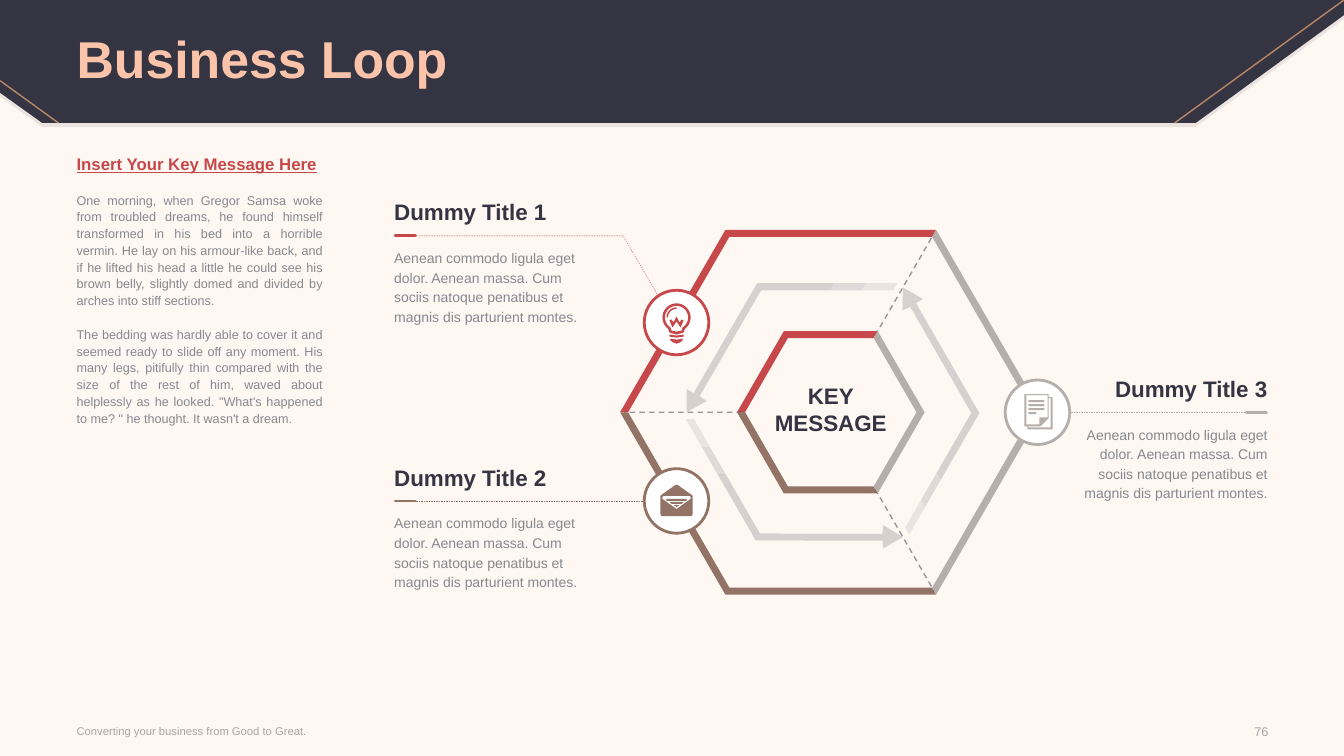
from dataclasses import dataclass
from math import cos, radians, sin

from pptx import Presentation
from pptx.dml.color import RGBColor
from pptx.enum.dml import MSO_LINE
from pptx.enum.shapes import MSO_CONNECTOR, MSO_SHAPE
from pptx.enum.text import MSO_ANCHOR, PP_ALIGN
from pptx.oxml.ns import qn
from pptx.util import Inches, Pt

DASH = MSO_LINE.DASH
STRAIGHT = MSO_CONNECTOR.STRAIGHT
OVAL = MSO_SHAPE.OVAL
TOP, MIDDLE = MSO_ANCHOR.TOP, MSO_ANCHOR.MIDDLE
LEFT, RIGHT, CENTER, JUSTIFY = PP_ALIGN.LEFT, PP_ALIGN.RIGHT, PP_ALIGN.CENTER, PP_ALIGN.JUSTIFY

Point = tuple[float, float]
Contour = list[Point]


@dataclass(frozen=True)
class Theme:
    font: str = "Arial"
    background: str = "FFF7F2"
    dark: str = "343442"
    peach: str = "FBC4AA"
    bronze: str = "B98763"
    red: str = "C7484A"
    brown: str = "927365"
    silver: str = "B6AEAB"
    body: str = "85898F"
    footer: str = "A6A6A6"
    white: str = "FFFFFF"
    title_size: float = 37
    heading_size: float = 16
    key_size: float = 12
    label_size: float = 10
    small_size: float = 9
    footer_size: float = 8


THEME = Theme()
HUB: Point = (8.24, 4.09)


@dataclass(frozen=True)
class Text:
    content: str
    size: float
    color: str
    bold: bool = False
    underline: bool = False
    space_before: float = 0


@dataclass(frozen=True)
class Stage:
    title: str
    color: str
    start_angle: float
    turn: float
    badge: Point
    text_left: float
    rule_y: float
    align: PP_ALIGN
    accent: tuple[float, float]
    leader: Contour
    icon: list[Contour]


def polar(angle: float, radius: float, center: Point = HUB) -> Point:
    return center[0] + radius * cos(radians(angle)), center[1] - radius * sin(radians(angle))


def rotate(point: Point, angle: float) -> Point:
    x, y = point
    c, s = cos(radians(angle)), sin(radians(angle))
    return HUB[0] + x * c + y * s, HUB[1] - x * s + y * c


def arc(first: int, last: int, radius: float, step: int = 10) -> Contour:
    return [polar(angle, radius, (0, -0.05)) for angle in range(first, last + step, step)]


def box(left: float, top: float, right: float, bottom: float) -> Contour:
    return [(left, top), (right, top), (right, bottom), (left, bottom)]


def set_alpha(shape, percent: int) -> None:
    for color in shape.element.spPr.iter(qn("a:srgbClr")):
        color.makeelement
        alpha = color.makeelement(qn("a:alpha"), {"val": str(percent * 1000)})
        color.append(alpha)


def add_outline(slide, contours: list[Contour], color: str, alpha: int = 100, width: float = 0):
    """Draw filled contours, or an open dashed path when a width is given."""
    start, *rest = contours[0]
    builder = slide.shapes.build_freeform(Inches(start[0]), Inches(start[1]))
    builder.add_line_segments([(Inches(x), Inches(y)) for x, y in rest], close=not width)
    for first, *others in contours[1:]:
        builder.move_to(Inches(first[0]), Inches(first[1]))
        builder.add_line_segments([(Inches(x), Inches(y)) for x, y in others])
    shape = builder.convert_to_shape()
    shape.shadow.inherit = False
    if width:
        shape.fill.background()
        shape.line.color.rgb = RGBColor.from_string(color)
        shape.line.width = Pt(width)
        shape.line.dash_style = DASH
    else:
        shape.fill.solid()
        shape.fill.fore_color.rgb = RGBColor.from_string(color)
        shape.line.fill.background()
    if alpha < 100:
        set_alpha(shape, alpha)


def add_line(slide, start: Point, end: Point, color: str, width: float,
             dashed: bool = False, alpha: int = 100, rounded: bool = False) -> None:
    line = slide.shapes.add_connector(STRAIGHT, *[Inches(value) for value in (*start, *end)])
    line.line.color.rgb = RGBColor.from_string(color)
    line.line.width = Pt(width)
    if dashed:
        line.line.dash_style = DASH
    if rounded:
        line.line._get_or_add_ln().set("cap", "rnd")
    if alpha < 100:
        set_alpha(line, alpha)
    properties = line.element.spPr
    properties.append(properties.makeelement(qn("a:effectLst"), {}))


def add_text(slide, area: tuple[float, float, float, float], texts: list[Text],
             align: PP_ALIGN = LEFT, anchor: MSO_ANCHOR = TOP, spacing=None) -> None:
    frame = slide.shapes.add_textbox(*[Inches(value) for value in area]).text_frame
    frame.word_wrap = True
    frame.vertical_anchor = anchor
    frame.margin_left = frame.margin_right = frame.margin_top = frame.margin_bottom = 0
    for index, text in enumerate(texts):
        paragraph = frame.add_paragraph() if index else frame.paragraphs[0]
        paragraph.alignment = align
        paragraph.line_spacing = spacing
        if text.space_before:
            paragraph.space_before = Pt(text.space_before)
        run = paragraph.add_run()
        run.text = text.content
        run.font.name = THEME.font
        run.font.size = Pt(text.size)
        run.font.bold = text.bold
        run.font.underline = text.underline
        run.font.color.rgb = RGBColor.from_string(text.color)


BULB = [
    [(-0.08, 0.07), *reversed(arc(-50, 230, 0.14)), (0.08, 0.07), (0.07, 0.1), (0, 0.12), (-0.07, 0.1)],
    [(-0.06, 0.05), *reversed(arc(-50, 230, 0.115)), (0.06, 0.05), (0.05, 0.08), (0, 0.09), (-0.05, 0.08)],
    [*arc(90, 180, 0.1), *reversed(arc(90, 180, 0.085))],
    [(-0.07, 0.12), (0, 0.13), (0.07, 0.12), (0.07, 0.14), (0, 0.15), (-0.07, 0.14)],
    [(-0.06, 0.16), (0, 0.17), (0.06, 0.16), (0.06, 0.18), (0.03, 0.2), (0, 0.21), (-0.03, 0.2), (-0.06, 0.18)],
    [(0.03, 0), (0, -0.06), (-0.03, 0), (-0.05, -0.03), (-0.07, -0.02), (-0.04, 0.05),
     (0, -0.01), (0.04, 0.05), (0.07, -0.02), (0.05, -0.03)],
]
ENVELOPE = [
    [(0.15, -0.06), (0.01, -0.16), (-0.01, -0.16), (-0.15, -0.06), (-0.16, -0.05), (-0.16, 0.13),
     (-0.15, 0.15), (0.15, 0.15), (0.16, 0.13), (0.16, -0.05)],
    [(0.14, -0.02), (0, 0.08), (-0.14, -0.02), (-0.14, -0.04), (-0.13, -0.05), (0.13, -0.05), (0.14, -0.04)],
    box(-0.1, -0.02, 0.1, 0),
    [(-0.07, 0.01), (0.07, 0.01), (0.05, 0.03), (-0.05, 0.03)],
    [(-0.03, 0.04), (0.03, 0.04), (0, 0.06)],
]
DOCUMENT = [
    [(0.11, -0.15), (0.11, -0.18), (-0.13, -0.18), (-0.13, 0.14), (-0.1, 0.14), (-0.1, 0.17), (0.15, 0.17), (0.15, -0.15)],
    [(-0.11, 0.12), (-0.11, -0.17), (0.1, -0.17), (0.1, 0.05), (0.02, 0.05), (0.02, 0.12)],
    [(0.13, 0.15), (-0.09, 0.15), (-0.09, 0.14), (0.03, 0.14), (0.11, 0.06), (0.11, -0.14), (0.13, -0.14)],
    *[box(-0.09, top, 0.07, top + 0.02) for top in (-0.12, -0.08, -0.04)],
    box(-0.09, 0, -0.01, 0.02),
]
STAGES = [
    Stage("Dummy Title 1", THEME.red, 60, 0, (6.71, 3.2), 3.91, 2.34, LEFT, (3.92, 4.12),
          [(4.08, 2.34), (6.18, 2.34), (6.68, 3.19)], BULB),
    Stage("Dummy Title 2", THEME.brown, 180, 120, (6.71, 4.97), 3.91, 4.97, LEFT, (3.92, 4.12),
          [(4.08, 4.97), (6.71, 4.97)], ENVELOPE),
    Stage("Dummy Title 3", THEME.silver, 300, 240, (10.29, 4.09), 10.53, 4.09, RIGHT, (12.36, 12.56),
          [(12.4, 4.09), (10.31, 4.09)], DOCUMENT),
]
ARROW_PARTS = [
    ([(-0.01, -1.21), (-0.69, -1.21), (-1.3, -0.16), (-1.23, -0.11), (-1.43, 0), (-1.43, -0.23),
      (-1.36, -0.19), (-0.73, -1.28), (0.03, -1.28)], 20),
    ([(0.34, -1.28), (0.3, -1.21), (-0.01, -1.21), (0.03, -1.28)], 15),
    ([(0.66, -1.28), (0.62, -1.21), (0.3, -1.21), (0.34, -1.28)], 10),
]
LABEL = ("Aenean commodo ligula eget dolor. Aenean massa. Cum sociis natoque penatibus et "
         "magnis dis parturient montes.")
STORY = [
    "One morning, when Gregor Samsa woke from troubled dreams, he found himself transformed in his bed into "
    "a horrible vermin. He lay on his armour-like back, and if he lifted his head a little he could see his "
    "brown belly, slightly domed and divided by arches into stiff sections.",
    "The bedding was hardly able to cover it and seemed ready to slide off any moment. His many legs, pitifully "
    "thin compared with the size of the rest of him, waved about helplessly as he looked. \"What's happened to "
    "me? \" he thought. It wasn't a dream.",
]


def add_header(slide) -> None:
    for drop, alpha in ((0.04, 10), (0, 100)):
        banner = [(0, 0), (13.33, 0), (13.33, 0.15), (11.86, 1.22), (0.42, 1.22), (0, 0.92)]
        add_outline(slide, [[(x, y + drop) for x, y in banner]], THEME.dark, alpha)
    add_line(slide, (13.33, 0), (11.65, 1.22), THEME.bronze, 1)
    add_line(slide, (0.58, 1.22), (0, 0.8), THEME.bronze, 1)
    add_text(slide, (0.76, 0.03, 11.81, 1.17),
             [Text("Business Loop", THEME.title_size, THEME.peach, bold=True)], anchor=MIDDLE, spacing=0.9)


def add_loop(slide, stage: Stage) -> None:
    angles = [stage.start_angle + step for step in (0, 60, 120)]
    add_line(slide, polar(angles[0], 0.88), polar(angles[0], 2.05), THEME.dark, 1, dashed=True, alpha=50)
    for radius in (2.09, 0.93):
        band = [polar(angle, radius) for angle in angles]
        band += [polar(angle, radius - 0.08) for angle in reversed(angles)]
        add_outline(slide, [band], stage.color)
    for part, alpha in ARROW_PARTS:
        add_outline(slide, [[rotate(point, stage.turn) for point in part]], THEME.dark, alpha)


def add_callout(slide, stage: Stage) -> None:
    if len(stage.leader) > 2:
        add_outline(slide, [stage.leader], stage.color, width=0.25)
    else:
        add_line(slide, *stage.leader, stage.color, 0.25, dashed=True)
    first, last = stage.accent
    add_line(slide, (first, stage.rule_y), (last, stage.rule_y), stage.color, 2, rounded=True)
    add_text(slide, (stage.text_left, stage.rule_y - 0.37, 2.04, 0.27),
             [Text(stage.title, THEME.heading_size, THEME.dark, bold=True)], stage.align)
    add_text(slide, (stage.text_left, stage.rule_y + 0.11, 2.04, 0.79),
             [Text(LABEL, THEME.label_size, THEME.body)], stage.align, spacing=Pt(14))
    x, y = stage.badge
    badge = slide.shapes.add_shape(OVAL, Inches(x - 0.32), Inches(y - 0.32), Inches(0.64), Inches(0.64))
    badge.shadow.inherit = False
    badge.fill.solid()
    badge.fill.fore_color.rgb = RGBColor.from_string(THEME.white)
    badge.line.color.rgb = RGBColor.from_string(stage.color)
    badge.line.width = Pt(2)
    add_outline(slide, [[(x + dx, y + dy) for dx, dy in contour] for contour in stage.icon], stage.color)


def main() -> None:
    presentation = Presentation()
    presentation.slide_width, presentation.slide_height = Inches(13.33), Inches(7.5)
    slide = presentation.slides.add_slide(presentation.slide_layouts[6])
    slide.background.fill.solid()
    slide.background.fill.fore_color.rgb = RGBColor.from_string(THEME.background)
    add_header(slide)
    story = [Text(content, THEME.small_size, THEME.body, space_before=12) for content in STORY]
    key_line = Text("Insert Your Key Message Here", THEME.key_size, THEME.red, bold=True, underline=True)
    add_text(slide, (0.76, 1.56, 2.44, 5.19), [key_line, *story], JUSTIFY, spacing=Pt(12))
    add_text(slide, (0.76, 7.12, 5.23, 0.26),
             [Text("Converting your business from Good to Great.", THEME.footer_size, THEME.footer)], anchor=MIDDLE)
    add_text(slide, (11.95, 7.13, 0.63, 0.26), [Text("76", THEME.small_size, THEME.footer)], RIGHT, MIDDLE)
    for stage in STAGES:
        add_loop(slide, stage)
    for stage in STAGES:
        add_callout(slide, stage)
    add_text(slide, (7.49, 3.79, 1.5, 0.54),
             [Text(word, THEME.heading_size, THEME.dark, bold=True) for word in ("KEY", "MESSAGE")], CENTER)
    presentation.save("out.pptx")


if __name__ == "__main__":
    main()
